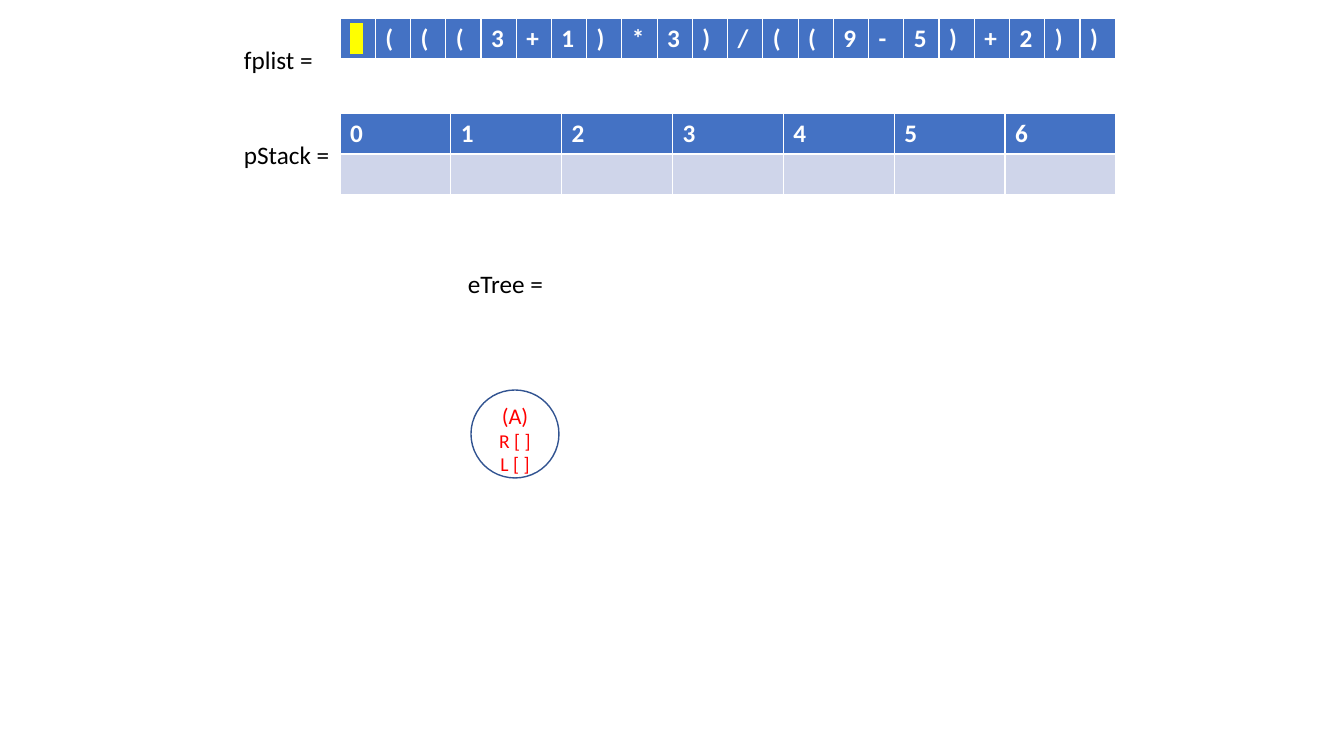
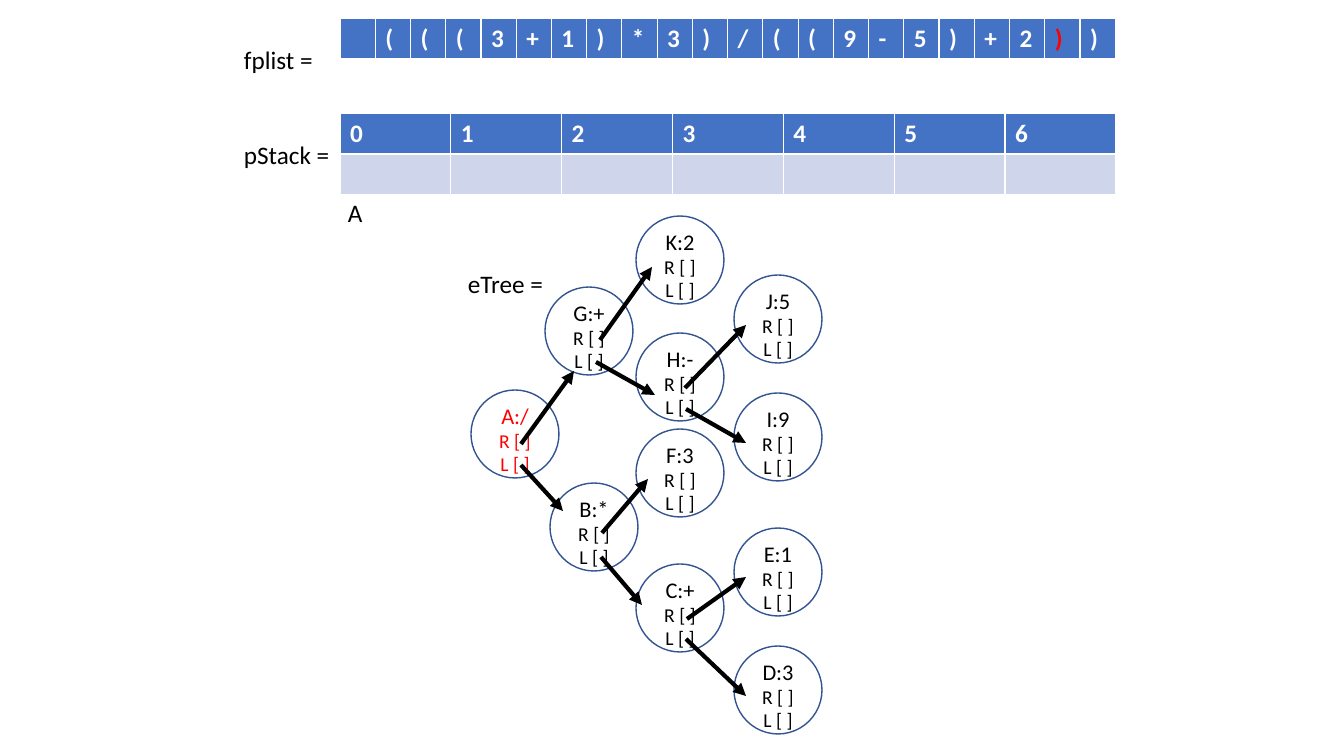
from lxml import etree
from pptx import Presentation
from pptx.dml.color import RGBColor
from pptx.enum.shapes import MSO_CONNECTOR, MSO_SHAPE
from pptx.enum.text import PP_ALIGN
from pptx.oxml.ns import qn
from pptx.util import Pt

OVAL, STRAIGHT, CENTER = MSO_SHAPE.OVAL, MSO_CONNECTOR.STRAIGHT, PP_ALIGN.CENTER
BLACK, WHITE, RED, YELLOW = "000000", "FFFFFF", "FF0000", "FFFF00"
HEADER, BAND, OUTLINE = "4472C4", "CFD5EA", "325491"
FONT = "Calibri"

TOKENS = list("(((3+1)*3)/((9-5)+2))")
STACK = list("0123456")
LABELS = [("fplist =", 234, 39, 106), ("pStack =", 234, 134, 106), ("eTree =", 458, 263, 112)]
LINKS = ["R [ ]", "L [ ]"]

SLIDES = [
    {
        "first": "1",
        "marked": {0: YELLOW},
        "labels": [],
        "nodes": [("(A)", 471, 390, RED)],
        "arrows": [],
    },
    {
        "first": "",
        "marked": {20: RED},
        "labels": [("A", 338, 192, 35)],
        "nodes": [
            ("A:/", 471, 390, RED),
            ("B:*", 550, 483, BLACK),
            ("C:+", 636, 564, BLACK),
            ("D:3", 734, 646, BLACK),
            ("E:1", 734, 528, BLACK),
            ("F:3", 636, 429, BLACK),
            ("G:+", 545, 287, BLACK),
            ("H:-", 636, 333, BLACK),
            ("I:9", 734, 393, BLACK),
            ("J:5", 734, 275, BLACK),
            ("K:2", 636, 216, BLACK),
        ],
        "arrows": [
            (521, 465, 563, 511),
            (601, 557, 642, 605),
            (686, 639, 746, 696),
            (686, 409, 746, 443),
            (596, 362, 655, 395),
            (521, 444, 574, 371),
            (600, 340, 652, 267),
            (685, 388, 746, 325),
            (602, 533, 648, 479),
            (687, 619, 746, 577),
        ],
    },
]

TABLE_LEFT, TABLE_WIDTH, ROW_HEIGHT = 340, 776, 41
CIRCLE = 88


def px(*values):
    return [round(v * 914400 / 100.8) for v in values]


def rgb(value):
    return RGBColor.from_string(value)


def set_font(font, size, color, bold=False):
    font.name, font.size, font.bold = FONT, Pt(size), bold
    font.color.rgb = rgb(color)


def highlight(r, color):
    mark = etree.Element(qn("a:highlight"))
    etree.SubElement(mark, qn("a:srgbClr")).set("val", color)
    r.font.fill._xPr.find(qn("a:solidFill")).addnext(mark)


def add_text(shapes, lines, box, color, sizes, align=None):
    tf = shapes.add_textbox(*px(*box)).text_frame
    tf.word_wrap = True
    tf.text = "\n".join(lines)
    for p, size in zip(tf.paragraphs, sizes):
        p.alignment = align
        set_font(p.font, size, color)


def add_row_table(s, header, top, rows, marked):
    box = px(TABLE_LEFT, top, TABLE_WIDTH, ROW_HEIGHT * rows)
    table = s.shapes.add_table(rows, len(header), *box).table
    for i, text in enumerate(header):
        table.columns[i].width = box[2] // len(header)
        for j in range(rows):
            fill = table.cell(j, i).fill
            fill.solid()
            fill.fore_color.rgb = rgb(BAND if j else HEADER)
        if text:
            r = table.cell(0, i).text_frame.paragraphs[0].add_run()
            r.text = text
            color = marked.get(i, WHITE)
            set_font(r.font, 18, color, True)
            if color == YELLOW:
                highlight(r, YELLOW)


def add_node(s, name, x, y, color):
    group = s.shapes.add_group_shape()
    circle = group.shapes.add_shape(OVAL, *px(x, y, CIRCLE, CIRCLE))
    circle.shadow.inherit = False
    circle.fill.background()
    circle.line.color.rgb = rgb(OUTLINE)
    circle.line.width = Pt(1)
    add_text(group.shapes, [name] + LINKS, (x + 12, y + 7, 64, 85), color, (16, 14, 14), CENTER)


def add_arrow(s, ends):
    arrow = s.shapes.add_connector(STRAIGHT, *px(*ends))
    arrow.line.color.rgb = rgb(BLACK)
    arrow.line.width = Pt(3)
    etree.SubElement(arrow.line._get_or_add_ln(), qn("a:tailEnd")).set("type", "triangle")
    etree.SubElement(arrow._element.spPr, qn("a:effectLst"))


prs = Presentation()
prs.slide_width, prs.slide_height = px(1344, 756)
for content in SLIDES:
    s = prs.slides.add_slide(prs.slide_layouts[6])
    add_row_table(s, [content["first"]] + TOKENS, 18, 1, content["marked"])
    add_row_table(s, STACK, 113, 2, {})
    for text, x, y, width in LABELS + content["labels"]:
        add_text(s.shapes, [text], (x, y, width, 40), BLACK, [18])
    for node in content["nodes"]:
        add_node(s, *node)
    for ends in content["arrows"]:
        add_arrow(s, ends)
prs.save("out.pptx")
